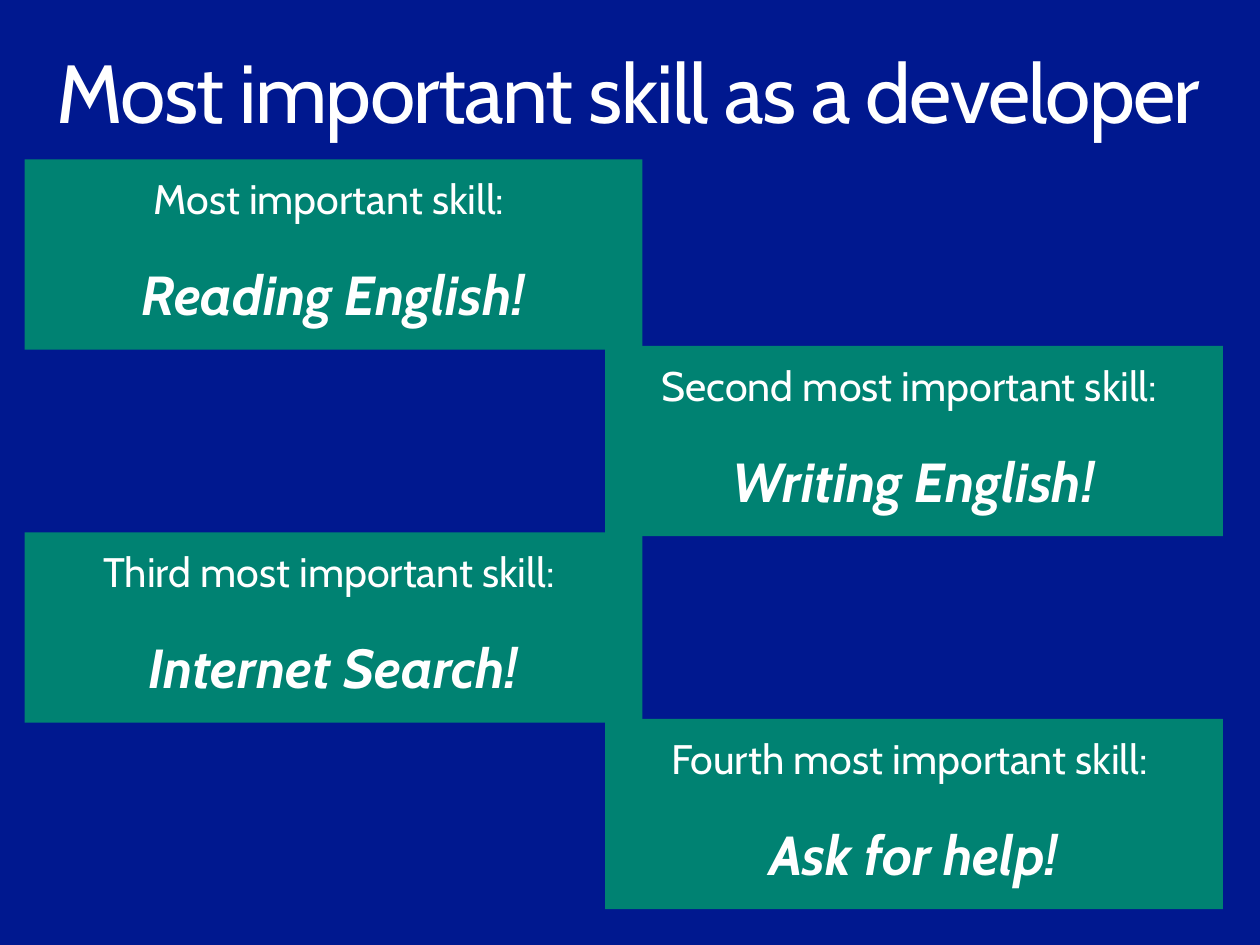
from pptx import Presentation
from pptx.dml.color import RGBColor
from pptx.enum import shapes, text
from pptx.util import Inches, Pt

BLUE = RGBColor(0x00, 0x18, 0x8F)
TEAL = RGBColor(0x00, 0x82, 0x72)
WHITE = RGBColor(0xFF, 0xFF, 0xFF)
FONT = "Cabin"

SKILLS = [
    ("Most important skill: ", "Reading English!"),
    ("Second most important skill: ", "Writing English!"),
    ("Third most important skill: ", "Internet Search!"),
    ("Fourth most important skill: ", "Ask for help!"),
]


def set_frame(frame, side, top):
    """Wrap text from the top of its box, with the given insets in inches."""
    frame.word_wrap = True
    frame.auto_size = text.MSO_AUTO_SIZE.NONE
    frame.vertical_anchor = text.MSO_ANCHOR.TOP
    frame.margin_left = frame.margin_right = Inches(side)
    frame.margin_top = frame.margin_bottom = Inches(top)


def style(paragraph, size, align, emphasis=False):
    paragraph.alignment = align
    paragraph.line_spacing = 0.9
    font = paragraph.font
    font.name, font.size = FONT, Pt(size)
    font.bold = font.italic = emphasis
    font.color.rgb = WHITE


def place_heading(slide, left, top, width, height):
    heading = slide.shapes.title
    heading.left, heading.top = Inches(left), Inches(top)
    heading.width, heading.height = Inches(width), Inches(height)
    set_frame(heading.text_frame, 0.16, 0.1)
    line = heading.text_frame.paragraphs[0]
    run = line.add_run()
    run.text = "Most important skill as a developer"
    style(line, 48, text.PP_ALIGN.LEFT)
    # Tighten the letters by one point
    run._r.get_or_add_rPr().set("spc", "-100")


def place_skill(slide, rank, skill, left, top, width, height):
    card = slide.shapes.add_shape(
        shapes.MSO_SHAPE.RECTANGLE,
        Inches(left), Inches(top), Inches(width), Inches(height))
    card.shadow.inherit = False
    card.fill.solid()
    card.fill.fore_color.rgb = TEAL
    card.line.fill.background()
    set_frame(card.text_frame, 0.2, 0.16)

    rank_line = card.text_frame.paragraphs[0]
    rank_line.text = rank
    style(rank_line, 24, text.PP_ALIGN.CENTER)

    skill_line = card.text_frame.add_paragraph()
    skill_line.text = skill
    style(skill_line, 32, text.PP_ALIGN.CENTER, emphasis=True)
    skill_line.space_before = Pt(26)


def place_staircase(slide, left, top, width, height):
    """Alternate the skill cards between the left and right edges."""
    card_width, card_height = 5, 1.54
    step = (height - card_height) / (len(SKILLS) - 1)
    for i, (rank, skill) in enumerate(SKILLS):
        card_left = left + (i % 2) * (width - card_width)
        place_skill(slide, rank, skill, card_left, top + i * step,
                    card_width, card_height)


def main():
    deck = Presentation()
    deck.slide_width, deck.slide_height = Inches(10.2), Inches(7.65)
    slide = deck.slides.add_slide(deck.slide_layouts.get_by_name("Title Only"))

    # Background
    slide.background.fill.solid()
    slide.background.fill.fore_color.rgb = BLUE

    # Heading and ranked skills
    place_heading(slide, 0.3, 0.32, 9.6, 1)
    place_staircase(slide, 0.2, 1.29, 9.7, 6.07)

    deck.save("out.pptx")


if __name__ == "__main__":
    main()
